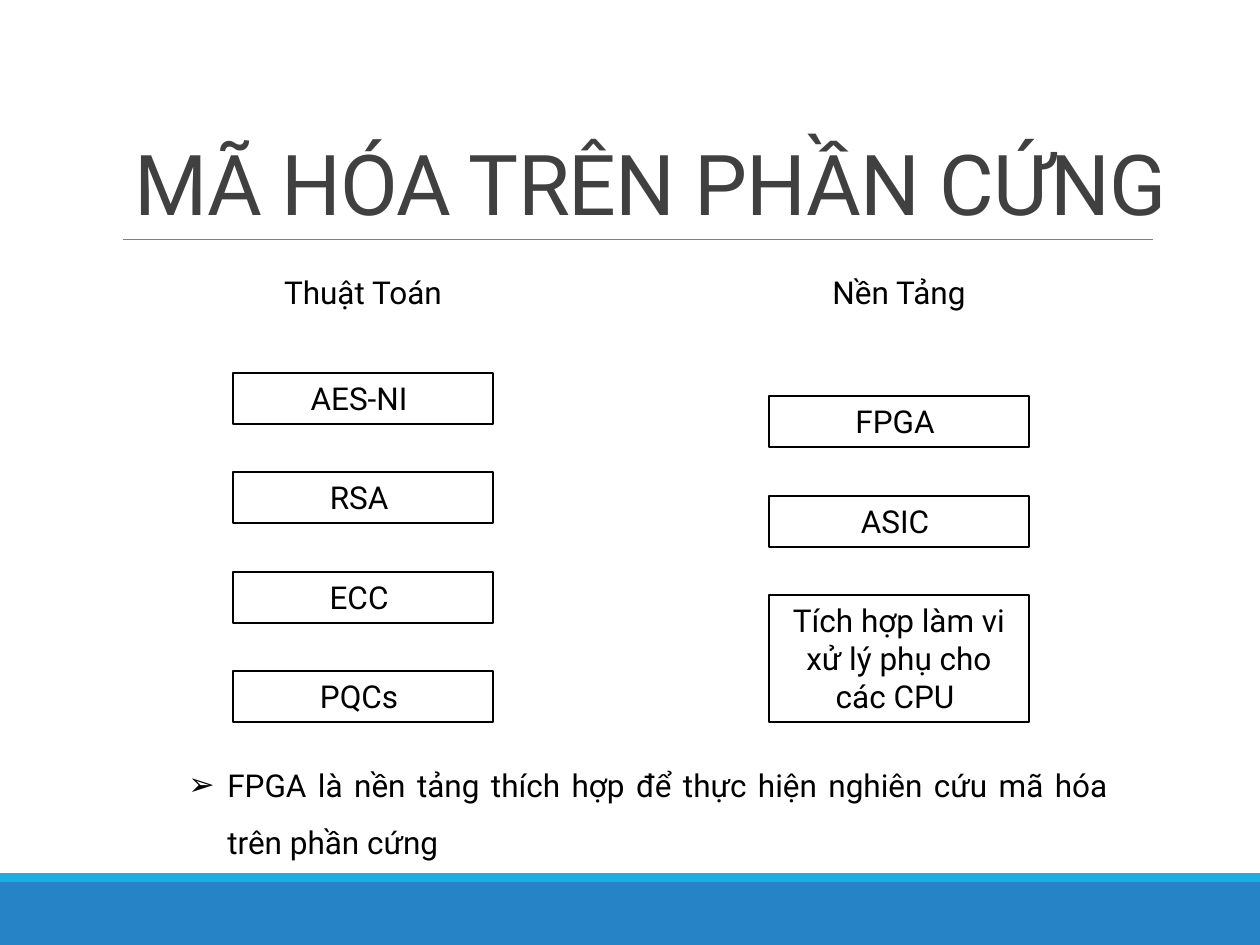
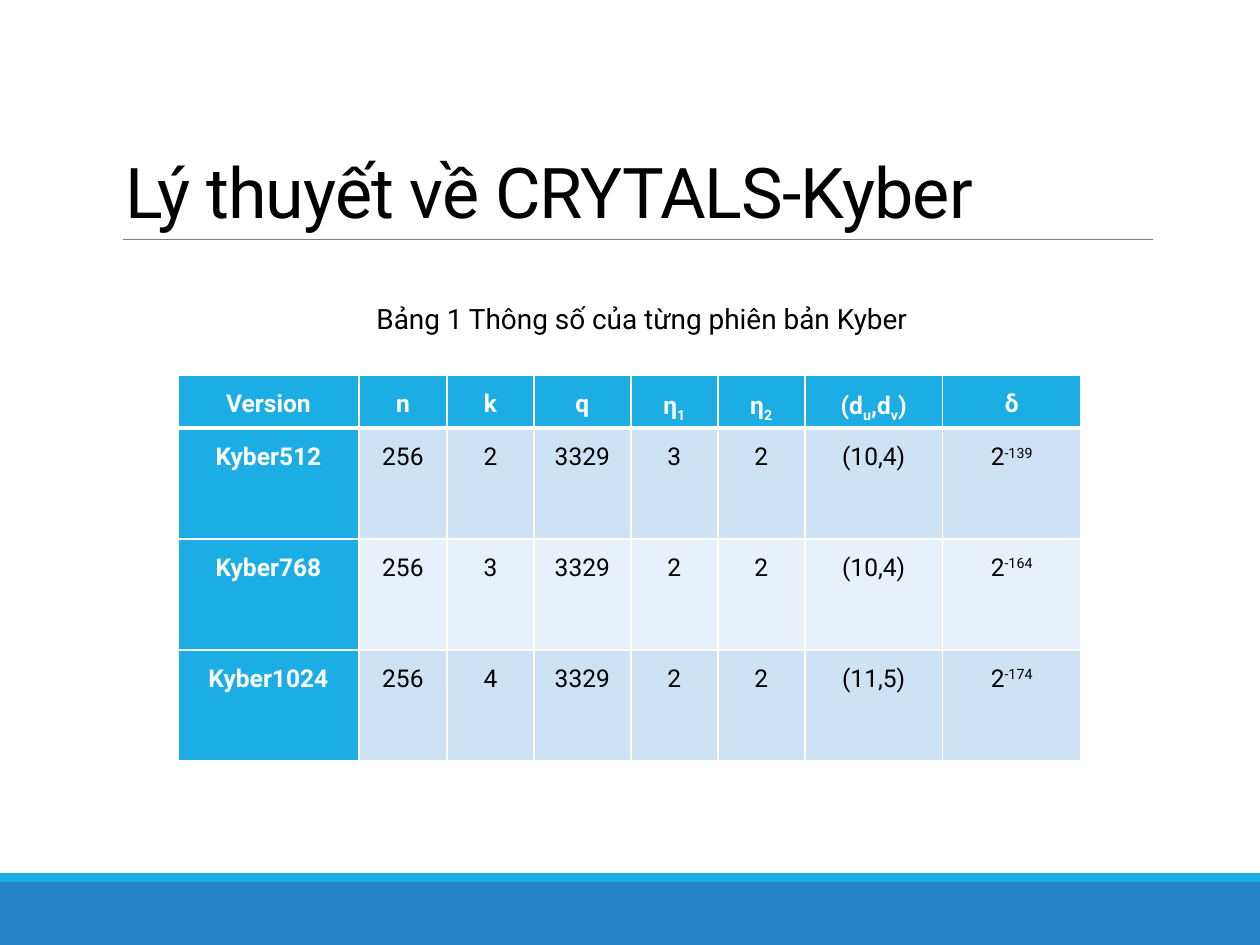
from lxml import etree
from pptx import Presentation
from pptx import util as u
from pptx.dml import color
from pptx.enum import shapes, text
from pptx.oxml import ns

FONT = "Roboto"
WHITE, BLACK, GRAY, DARK_GRAY = "FFFFFF", "000000", "808080", "404040"
BLUE, CYAN, PALE, PALER = "2683C6", "1CADE4", "CDE3F5", "E8F1FA"
CENTER, BOTTOM = text.PP_ALIGN.CENTER, text.MSO_ANCHOR.BOTTOM


def paint(target, hex_color):
    """Give a fill or a line a solid colour, or set a font's colour."""
    if hasattr(target, "solid"):
        target.solid()
        target = target.fore_color
    else:
        target = target.color
    target.rgb = color.RGBColor.from_string(hex_color)


def write(frame, words, size, hex_color=BLACK, bold=False, shift=0, spacing=0, **formats):
    """Write one paragraph; every second part between bars is raised or lowered."""
    frame.word_wrap = True
    paragraph = frame.paragraphs[0]
    for name, value in formats.items():
        setattr(paragraph, name, value)
    for index, part in enumerate(words.split("|")):
        if not part:
            continue
        run = paragraph.add_run()
        run.text = part
        for name, value in {"name": FONT, "size": u.Pt(size), "bold": bold}.items():
            setattr(run.font, name, value)
        paint(run.font, hex_color)
        properties = run.font._element
        if index % 2:
            properties.set("baseline", str(shift * 1000))
        if spacing:
            properties.set("spc", str(spacing))
    return paragraph


presentation = Presentation()
SCALE = u.Inches(1) / 126
px = [u.Emu(round(n * SCALE)) for n in range(1261)]
presentation.slide_width, presentation.slide_height = px[1260], px[945]

# Shared parts: bands, rule and title
titles = [
    ("MÃ HÓA TRÊN PHẦN CỨNG", 1076, 48, DARK_GRAY, CENTER),
    ("Lý thuyết về CRYTALS-Kyber", 1128, 40, BLACK, text.PP_ALIGN.LEFT),
]
for title, width, size, title_color, alignment in titles:
    slide = presentation.slides.add_slide(presentation.slide_layouts[6])
    for top, height, band_color in [(882, 63, BLUE), (873, 9, CYAN)]:
        band = slide.shapes.add_shape(
            shapes.MSO_SHAPE.RECTANGLE, 0, px[top], px[1260], px[height])
        band.shadow.inherit = False
        paint(band.fill, band_color)
        band.line.fill.background()
    rule = slide.shapes.add_connector(
        shapes.MSO_CONNECTOR.STRAIGHT, px[123], px[239], px[1153], px[239])
    paint(rule.line.fill, GRAY)
    rule.line.width = u.Pt(0.5)
    etree.SubElement(rule._element.spPr, ns.qn("a:effectLst"))
    title_box = slide.shapes.add_textbox(px[113], px[39], px[width], px[200])
    title_box.text_frame.vertical_anchor = BOTTOM
    write(title_box.text_frame, title, size, title_color, spacing=-50,
          alignment=alignment, line_spacing=0.85)

hardware_slide, kyber_slide = presentation.slides

# Slide 1: two columns of boxes, spread evenly down to a common bottom edge
COLUMN_WIDTH, COLUMN_BOTTOM, BOX_HEIGHT = 260, 722, 51
columns = [
    ("Thuật Toán", 233, 373,
     [("AES-NI ", BOX_HEIGHT), ("RSA ", BOX_HEIGHT), ("ECC ", BOX_HEIGHT), ("PQCs ", BOX_HEIGHT)]),
    ("Nền Tảng", 769, 396,
     [("FPGA ", BOX_HEIGHT), ("ASIC ", BOX_HEIGHT),
      ("Tích hợp làm vi xử lý phụ cho các CPU ", 127)]),
]
for heading, left, top, boxes in columns:
    heading_box = hardware_slide.shapes.add_textbox(
        px[left], px[267], px[COLUMN_WIDTH], px[BOX_HEIGHT])
    write(heading_box.text_frame, heading, 18, alignment=CENTER)
    free = COLUMN_BOTTOM - top - sum(height for _, height in boxes)
    gap = free / (len(boxes) - 1)
    for label, height in boxes:
        box = hardware_slide.shapes.add_shape(
            shapes.MSO_SHAPE.RECTANGLE, px[left], px[round(top)], px[COLUMN_WIDTH], px[height])
        box.shadow.inherit = False
        paint(box.fill, WHITE)
        paint(box.line.fill, BLACK)
        box.line.width = u.Pt(1.25)
        box.text_frame.vertical_anchor = text.MSO_ANCHOR.TOP
        write(box.text_frame, label, 18, alignment=CENTER)
        top += height + gap

# Slide 1: conclusion with an arrow bullet
conclusion_box = hardware_slide.shapes.add_textbox(px[113], px[741], px[1008], px[121])
conclusion = write(
    conclusion_box.text_frame,
    "FPGA là nền tảng thích hợp để thực hiện nghiên cứu mã hóa trên phần cứng ", 18,
    alignment=text.PP_ALIGN.JUSTIFY, line_spacing=1.5,
    space_before=u.Pt(6), space_after=u.Pt(10))
properties = conclusion._p.get_or_add_pPr()
properties.set("marL", str(px[102]))
properties.set("indent", str(-px[39]))
etree.SubElement(properties, ns.qn("a:buFont"), typeface="Arial")
etree.SubElement(properties, ns.qn("a:buChar"), char="➢")

# Slide 2: parameter table
rows = [
    ["Version", "n", "k", "q", "η|1", "η|2", "(d|u|,d|v|)", "δ"],
    ["Kyber512", "256", "2", "3329", "3", "2", "(10,4)", "2|-139"],
    ["Kyber768", "256", "3", "3329", "2", "2", "(10,4)", "2|-164"],
    ["Kyber1024", "256", "4", "3329", "2", "2", "(11,5)", "2|-174"],
]
column_widths = [181, 88, 87, 97, 87, 87, 138, 138]
row_heights = [53, 111, 111, 111]
table = kyber_slide.shapes.add_table(
    len(rows), len(column_widths), px[178], px[375],
    px[sum(column_widths)], px[sum(row_heights)]).table
table.first_row = table.horz_banding = False
for column, width in zip(table.columns, column_widths):
    column.width = px[width]
for row, height in zip(table.rows, row_heights):
    row.height = px[height]

cell_format = {"margin_left": px[9], "margin_right": px[9], "margin_top": 0, "margin_bottom": 0}
for row_index, values in enumerate(rows):
    for column_index, value in enumerate(values):
        cell = table.cell(row_index, column_index)
        for name, setting in cell_format.items():
            setattr(cell, name, setting)
        is_header = row_index == 0 or column_index == 0
        paint(cell.fill, CYAN if is_header else PALE if row_index % 2 else PALER)
        write(cell.text_frame, value, 14, WHITE if is_header else BLACK, is_header,
              shift=30 if row_index else -25, alignment=CENTER, line_spacing=1.5)
        # White borders, thicker under the header row
        thick_side = {0: "lnB", 1: "lnT"}.get(row_index)
        cell_properties = cell._tc.get_or_add_tcPr()
        for position, side in enumerate(["lnL", "lnR", "lnT", "lnB"]):
            border = etree.Element(ns.qn("a:" + side), w=str(u.Pt(3 if side == thick_side else 1)))
            border_fill = etree.SubElement(border, ns.qn("a:solidFill"))
            etree.SubElement(border_fill, ns.qn("a:srgbClr"), val=WHITE)
            cell_properties.insert(position, border)

# Slide 2: table caption
caption_box = kyber_slide.shapes.add_textbox(px[364], px[295], px[625], px[81])
write(caption_box.text_frame, "Bảng 1 Thông số của từng phiên bản Kyber", 16)

presentation.save("out.pptx")
